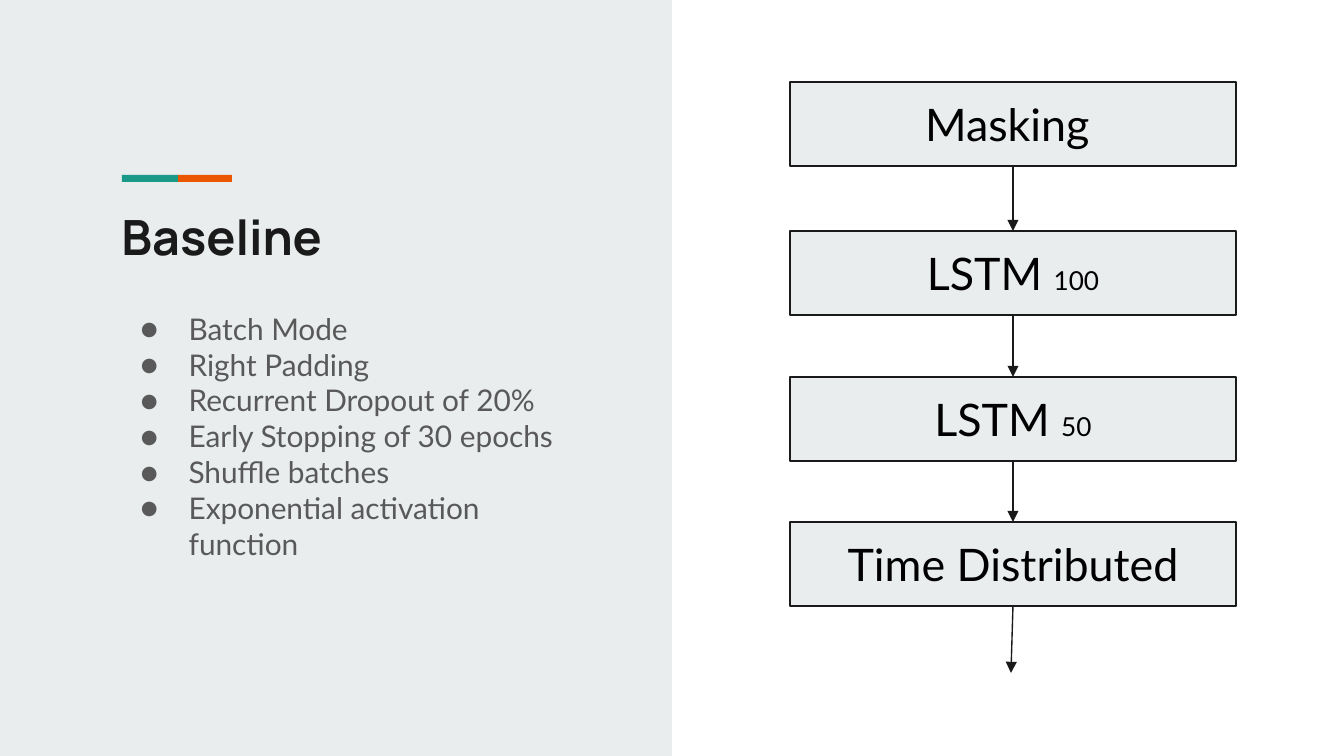
"""Build the Baseline slide: model settings on the left, layer stack on the right."""
import dataclasses
import itertools
import typing

import lxml.etree
import pptx
import pptx.dml.color
import pptx.enum.shapes
import pptx.enum.text
import pptx.oxml.ns
import pptx.util

EMU_PER_PX = 914400 / 134.4
SLIDE_WIDTH, SLIDE_HEIGHT = 1344, 756
LAYER_LEFT, LAYER_WIDTH, LAYER_HEIGHT = 790, 446, 84
BOTTOM, TOP = 2, 0

COLORS = {
    "panel": "E9EDEE",
    "teal": "1A9988",
    "orange": "EB5600",
    "ink": "1A1A1A",
    "label": "000000",
    "body": "595959",
}
FRAME = {
    "word_wrap": True,
    "auto_size": pptx.enum.text.MSO_AUTO_SIZE.NONE,
    "vertical_anchor": pptx.enum.text.MSO_ANCHOR.TOP,
    **{f"margin_{side}": pptx.util.Inches(0.1) for side in ("left", "right", "top", "bottom")},
}
MIDDLE_FRAME = FRAME | {"vertical_anchor": pptx.enum.text.MSO_ANCHOR.MIDDLE}
LEFT_ALIGNED = {
    "alignment": pptx.enum.text.PP_ALIGN.LEFT,
    "line_spacing": 1.0,
    "space_before": pptx.util.Pt(0),
}
TITLE_FONT = {"name": "Manrope", "size": pptx.util.Pt(26), "bold": True}
BODY_FONT = {"name": "Lato", "size": pptx.util.Pt(16)}
LAYER_FONT = {"name": "Lato", "size": pptx.util.Pt(24)}
UNITS_FONT = {"name": "Lato", "size": pptx.util.Pt(14)}


@dataclasses.dataclass(frozen=True)
class Block:
    left: int
    top: int
    width: int
    height: int
    color: str


@dataclasses.dataclass(frozen=True)
class Layer:
    top: int
    label: str
    units: str = ""


PANEL = Block(0, 0, 672, SLIDE_HEIGHT, "panel")
ACCENTS = [Block(177, 175, 55, 7, "orange"), Block(122, 175, 56, 7, "teal")]
LAYERS = [
    Layer(82, "Masking "),
    Layer(231, "LSTM ", "100"),
    Layer(377, "LSTM ", "50"),
    Layer(522, "Time Distributed"),
]
SETTINGS = [
    "Batch Mode",
    "Right Padding",
    "Recurrent Dropout of 20%",
    "Early Stopping of 30 epochs",
    "Shuffle batches",
    "Exponential activation function",
]


def px(length: int) -> int:
    """Turn pixels into EMU."""
    return round(length * EMU_PER_PX)


def rgb(color: str) -> pptx.dml.color.RGBColor:
    """Look up a named colour."""
    return pptx.dml.color.RGBColor.from_string(COLORS[color])


def apply(target: typing.Any, values: dict[str, typing.Any]) -> None:
    """Set each format value on the target."""
    for key, value in values.items():
        setattr(target, key, value)


def add_text(paragraph: typing.Any, text: str, font: dict[str, typing.Any], color: str) -> None:
    """Append a formatted run."""
    run = paragraph.add_run()
    run.text = text
    apply(run.font, font)
    run.font.color.rgb = rgb(color)


def place(placeholder: typing.Any, left: int, top: int, width: int, height: int) -> None:
    """Move a placeholder and format its text frame."""
    apply(placeholder, {"left": px(left), "top": px(top), "width": px(width), "height": px(height)})
    apply(placeholder.text_frame, FRAME)


def add_bullet(paragraph: typing.Any) -> None:
    """Give a paragraph a hanging round bullet."""
    properties = paragraph._p.get_or_add_pPr()
    properties.set("marL", str(pptx.util.Inches(0.5)))
    properties.set("indent", str(pptx.util.Inches(-0.36)))
    qn = pptx.oxml.ns.qn
    bullet_color = lxml.etree.SubElement(properties, qn("a:buClr"))
    lxml.etree.SubElement(bullet_color, qn("a:srgbClr"), val=COLORS["body"])
    lxml.etree.SubElement(properties, qn("a:buFont"), typeface="Lato")
    lxml.etree.SubElement(properties, qn("a:buChar"), char="●")


def add_block(shapes: typing.Any, block: Block) -> typing.Any:
    """Draw a flat filled rectangle."""
    rectangle = shapes.add_shape(
        pptx.enum.shapes.MSO_SHAPE.RECTANGLE,
        px(block.left), px(block.top), px(block.width), px(block.height),
    )
    rectangle.shadow.inherit = False
    rectangle.fill.solid()
    rectangle.fill.fore_color.rgb = rgb(block.color)
    rectangle.line.fill.background()
    return rectangle


def add_layer(shapes: typing.Any, layer: Layer) -> typing.Any:
    """Draw an outlined network layer with its label."""
    box = add_block(shapes, Block(LAYER_LEFT, layer.top, LAYER_WIDTH, LAYER_HEIGHT, "panel"))
    box.line.color.rgb = rgb("ink")
    box.line.width = pptx.util.Pt(0.75)
    apply(box.text_frame, MIDDLE_FRAME)
    paragraph = box.text_frame.paragraphs[0]
    paragraph.alignment = pptx.enum.text.PP_ALIGN.CENTER
    add_text(paragraph, layer.label, LAYER_FONT, "label")
    if layer.units:
        add_text(paragraph, layer.units, UNITS_FONT, "label")
    return box


def add_arrow(shapes: typing.Any, source: typing.Any, target: typing.Any = None) -> None:
    """Draw an arrow from a layer to the next one, or out of the stack."""
    arrow = shapes.add_connector(
        pptx.enum.shapes.MSO_CONNECTOR.STRAIGHT, px(1013), px(606), px(1011), px(673)
    )
    arrow.begin_connect(source, BOTTOM)
    if target is not None:
        arrow.end_connect(target, TOP)
    arrow.line.color.rgb = rgb("ink")
    arrow.line.width = pptx.util.Pt(0.75)
    qn = pptx.oxml.ns.qn
    lxml.etree.SubElement(arrow.line._get_or_add_ln(), qn("a:tailEnd"), type="triangle")
    lxml.etree.SubElement(arrow._element.spPr, qn("a:effectLst"))


def main() -> None:
    """Build and save the slide."""
    presentation = pptx.Presentation()
    presentation.slide_width = px(SLIDE_WIDTH)
    presentation.slide_height = px(SLIDE_HEIGHT)
    slide = presentation.slides.add_slide(presentation.slide_layouts[1])
    shapes = slide.shapes

    panel = add_block(shapes, PANEL)
    shapes._spTree.insert(2, panel._element)
    for accent in ACCENTS:
        add_block(shapes, accent)

    title = shapes.title
    place(title, 108, 194, 485, 247)
    heading = title.text_frame.paragraphs[0]
    apply(heading, LEFT_ALIGNED)
    add_text(heading, "Baseline", TITLE_FONT, "ink")

    settings = slide.placeholders[1]
    place(settings, 108, 297, 485, 112)
    for index, setting in enumerate(SETTINGS):
        frame = settings.text_frame
        paragraph = frame.add_paragraph() if index else frame.paragraphs[0]
        add_bullet(paragraph)
        apply(paragraph, LEFT_ALIGNED)
        add_text(paragraph, setting, BODY_FONT, "body")

    layers = [add_layer(shapes, layer) for layer in LAYERS]
    for source, target in itertools.zip_longest(layers, layers[1:]):
        add_arrow(shapes, source, target)

    presentation.save("out.pptx")


if __name__ == "__main__":
    main()
